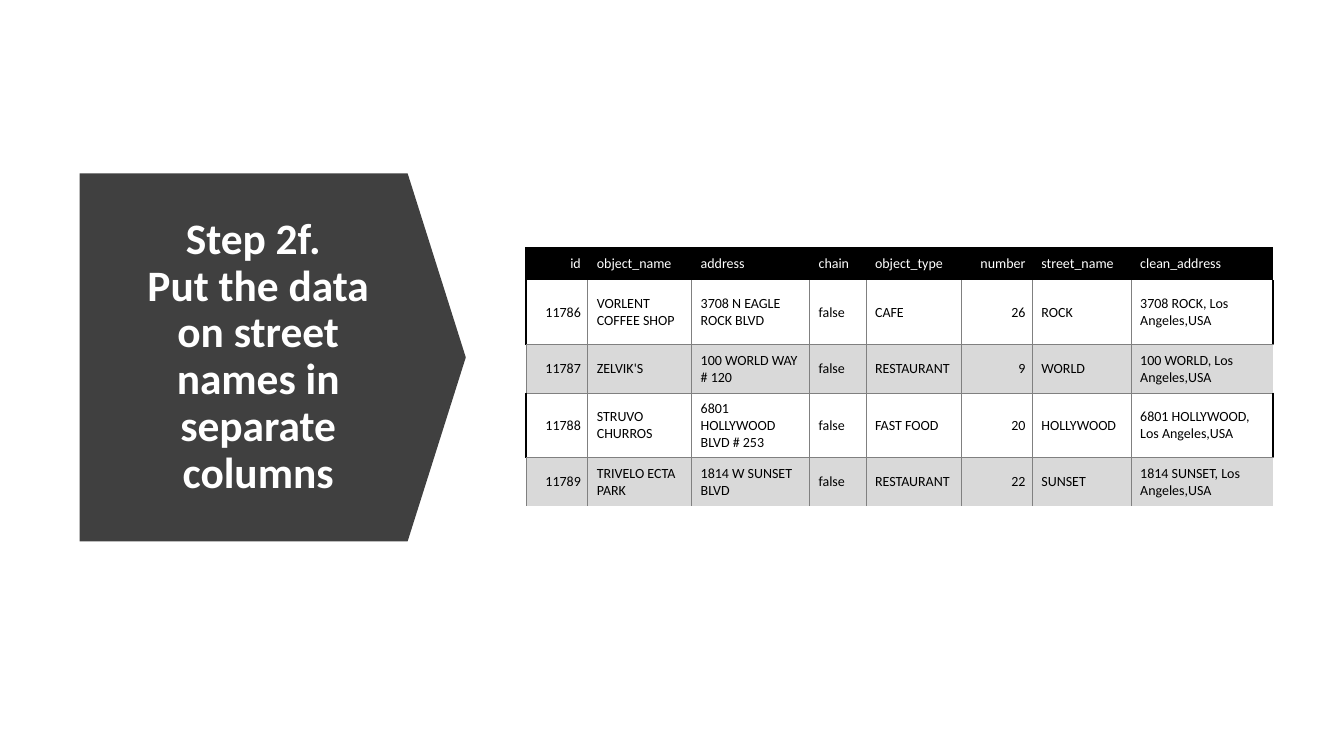
import pptx
import pptx.util
import pptx.dml.color
import pptx.enum.shapes
import pptx.enum.text
import pptx.oxml.ns
import lxml.etree
from dataclasses import dataclass

Inches, Pt = pptx.util.Inches, pptx.util.Pt
ALIGN = pptx.enum.text.PP_ALIGN
MIDDLE = pptx.enum.text.MSO_ANCHOR.MIDDLE
qn = pptx.oxml.ns.qn


@dataclass
class Theme:
    font: str = "Calibri"
    title_size: float = 31
    cell_size: float = 10
    dark: str = "404040"
    black: str = "000000"
    white: str = "FFFFFF"
    band: str = "D9D9D9"
    grey: str = "808080"
    thin: float = 0.5
    thick: float = 1.5


theme = Theme()
TITLE = ["Step 2f. ", "Put the data on street names in separate columns"]
COLUMNS = [
    ("id", 0.61), ("object_name", 1.03), ("address", 1.17), ("chain", 0.56),
    ("object_type", 0.95), ("number", 0.7), ("street_name", 0.98), ("clean_address", 1.41),
]
RIGHT_ALIGNED = {"id", "number"}
PLACES = [
    ("11786", "VORLENT COFFEE SHOP", "3708 N EAGLE ROCK BLVD", "false", "CAFE", "26", "ROCK",
     "3708 ROCK, Los Angeles,USA"),
    ("11787", "ZELVIK'S", "100 WORLD WAY # 120", "false", "RESTAURANT", "9", "WORLD",
     "100 WORLD, Los Angeles,USA"),
    ("11788", "STRUVO CHURROS", "6801 HOLLYWOOD BLVD # 253", "false", "FAST FOOD", "20", "HOLLYWOOD",
     "6801 HOLLYWOOD, Los Angeles,USA"),
    ("11789", "TRIVELO ECTA PARK", "1814 W SUNSET BLVD", "false", "RESTAURANT", "22", "SUNSET",
     "1814 SUNSET, Los Angeles,USA"),
]
ROW_HEIGHTS = [0.32, 0.64, 0.48, 0.64, 0.48]
NO_STYLE = "{2D5ABB26-0587-4C30-8999-92F81FD0307C}"


def rgb(color):
    return pptx.dml.color.RGBColor.from_string(color)


def add_run(p, text, size, color, bold=False):
    r = p.add_run()
    r.text = text
    r.font.name, r.font.size, r.font.bold = theme.font, Pt(size), bold
    r.font.color.rgb = rgb(color)


def add_border(cell, side, color, width):
    tag = qn("a:ln" + side)
    ln = lxml.etree.SubElement(cell._tc.get_or_add_tcPr(), tag, w=str(Pt(width)))
    fill = lxml.etree.SubElement(ln, qn("a:solidFill"))
    lxml.etree.SubElement(fill, qn("a:srgbClr"), val=color)


def cell_borders(row, col):
    thin, thick = (theme.grey, theme.thin), (theme.black, theme.thick)
    last = len(COLUMNS) - 1
    if row == 0:
        borders = {"T": thick}
        if col == 0:
            borders["L"] = thick
        return borders
    white_row = row % 2 == 1
    borders = {"L": thick if white_row and col == 0 else thin}
    if col < last:
        borders["R"] = thin
    elif white_row:
        borders["R"] = thick
    borders["B" if white_row else "T"] = thin
    return borders


def fill_cell(cell, row, col, text):
    cell.vertical_anchor = MIDDLE
    cell.margin_left = Inches(0.09)
    cell.margin_right = cell.margin_top = cell.margin_bottom = Inches(0.07)
    p = cell.text_frame.paragraphs[0]
    p.alignment = ALIGN.RIGHT if COLUMNS[col][0] in RIGHT_ALIGNED else ALIGN.LEFT
    add_run(p, text, theme.cell_size, theme.black if row else theme.white)
    borders = cell_borders(row, col)
    for side in "LRTB":
        if side in borders:
            add_border(cell, side, *borders[side])
    if row % 2:
        cell.fill.background()
    else:
        cell.fill.solid()
        cell.fill.fore_color.rgb = rgb(theme.band if row else theme.black)


prs = pptx.Presentation()
prs.slide_width, prs.slide_height = Inches(13.33), Inches(7.5)
s = prs.slides.add_slide(prs.slide_layouts[6])

arrow = s.shapes.add_shape(pptx.enum.shapes.MSO_SHAPE.DOWN_ARROW,
                           Inches(0.88), Inches(1.63), Inches(3.65), Inches(3.83))
arrow.rotation = 270
arrow.adjustments[0], arrow.adjustments[1] = 1, 0.158
arrow.shadow.inherit = False
arrow.fill.solid()
arrow.fill.fore_color.rgb = rgb(theme.dark)
arrow.line.fill.background()

title = s.shapes.add_textbox(Inches(1.12), Inches(2.15), Inches(2.88), Inches(2.79))
tf = title.text_frame
tf.word_wrap = True
tf.vertical_anchor = MIDDLE
p = tf.paragraphs[0]
p.alignment, p.line_spacing = ALIGN.CENTER, 0.9
for i, line in enumerate(TITLE):
    if i:
        p.add_line_break()
    add_run(p, line, theme.title_size, theme.white, bold=True)

rows = [[name for name, width in COLUMNS]] + PLACES
frame = s.shapes.add_table(len(rows), len(COLUMNS), Inches(5.22), Inches(2.46),
                           Inches(sum(width for name, width in COLUMNS)), Inches(sum(ROW_HEIGHTS)))
table = frame.table
table.horz_banding = False
table._tbl.tblPr.find(qn("a:tableStyleId")).text = NO_STYLE
for column, (name, width) in zip(table.columns, COLUMNS):
    column.width = Inches(width)
for i, (height, texts) in enumerate(zip(ROW_HEIGHTS, rows)):
    table.rows[i].height = Inches(height)
    for j, text in enumerate(texts):
        fill_cell(table.cell(i, j), i, j, text)

prs.save("out.pptx")
